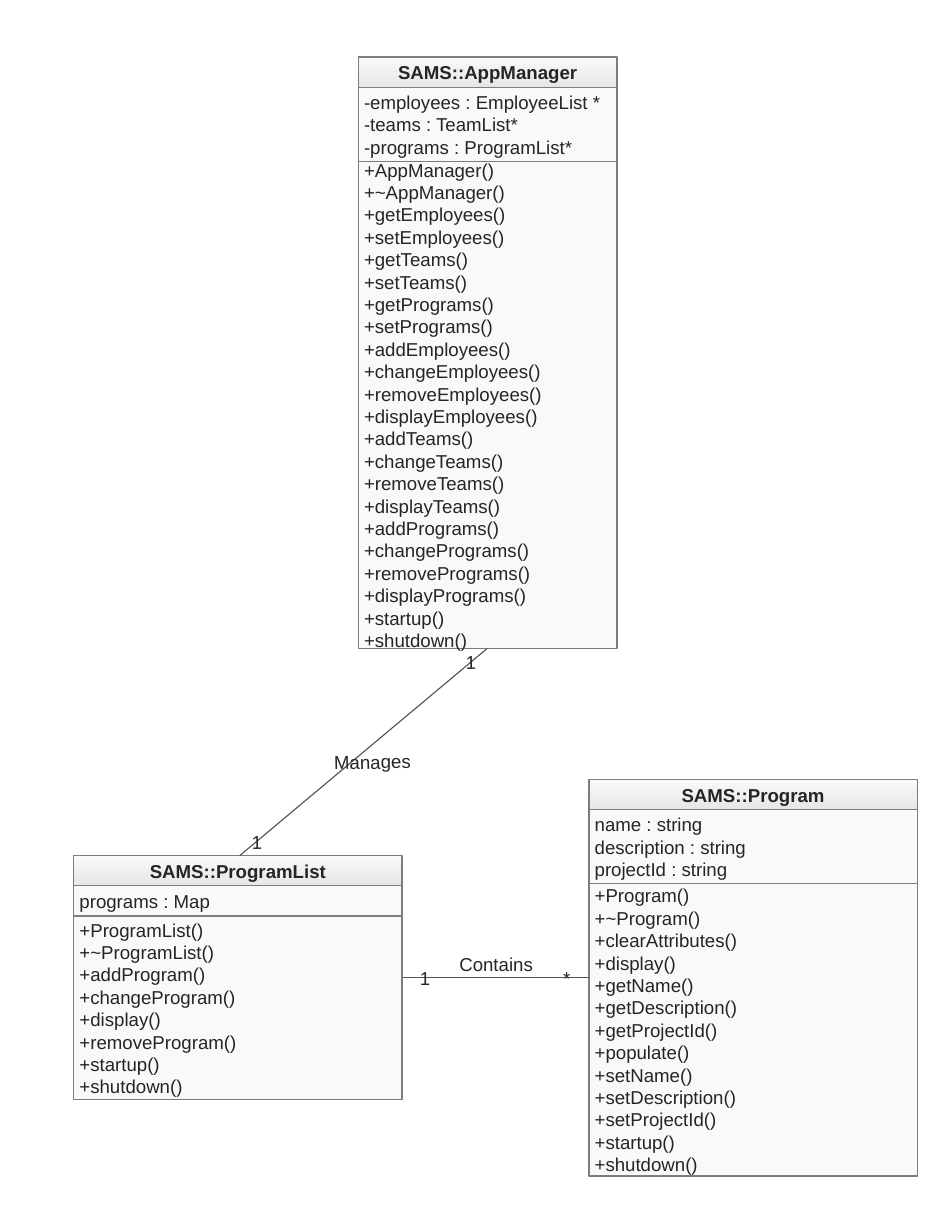
from pptx import Presentation
from pptx.dml.color import RGBColor as RGB
from pptx.enum.shapes import MSO_CONNECTOR as Conn, MSO_SHAPE as Shape
from pptx.enum.text import MSO_ANCHOR as Anchor, PP_ALIGN as Align
from pptx.oxml.ns import qn
from pptx.util import Inches, Pt
from lxml.etree import SubElement

INK = RGB(0x25, 0x25, 0x25)
EDGE = RGB(0x7D, 0x7D, 0x7D)
LINK = RGB(0x55, 0x55, 0x55)
PALE = RGB(0xF9, 0xF9, 0xF9)
SHADE = RGB(0xE7, 0xE7, 0xE7)
HEAD = 0.27

MANAGER = [
    "+AppManager()", "+~AppManager()",
    "+getEmployees()", "+setEmployees()",
    "+getTeams()", "+setTeams()",
    "+getPrograms()", "+setPrograms()",
    "+addEmployees()", "+changeEmployees()",
    "+removeEmployees()", "+displayEmployees()",
    "+addTeams()", "+changeTeams()", "+removeTeams()", "+displayTeams()",
    "+addPrograms()", "+changePrograms()",
    "+removePrograms()", "+displayPrograms()",
    "+startup()", "+shutdown()",
]
LIST = [
    "+ProgramList()", "+~ProgramList()", "+addProgram()", "+changeProgram()",
    "+display()", "+removeProgram()", "+startup()", "+shutdown()",
]
PROGRAM = [
    "+Program()", "+~Program()", "+clearAttributes()", "+display()",
    "+getName()", "+getDescription()", "+getProjectId()", "+populate()",
    "+setName()", "+setDescription()", "+setProjectId()",
    "+startup()", "+shutdown()",
]


def write(shape, rows, bold=False, align=Align.LEFT, anchor=Anchor.MIDDLE,
          side=0.05, edge=0.04):
    frame = shape.text_frame
    frame.word_wrap = True
    frame.vertical_anchor = anchor
    frame.margin_left = frame.margin_right = Inches(side)
    frame.margin_top = frame.margin_bottom = Inches(edge)
    for i, row in enumerate(rows):
        para = frame.add_paragraph() if i else frame.paragraphs[0]
        para.alignment = align
        para.line_spacing = Pt(14.4)
        run = para.add_run()
        run.text = row
        font = run.font
        font.name, font.size, font.bold = "Arial", Pt(12), bold
        font.color.rgb = INK


def add_part(slide, left, top, width, height, rows, head=False):
    part = slide.shapes.add_shape(Shape.RECTANGLE, Inches(left), Inches(top),
                                  Inches(width), Inches(height))
    part.shadow.inherit = False
    part.line.color.rgb = EDGE
    part.line.width = Pt(0.75)
    if head:
        part.fill.gradient()
        part.fill.gradient_angle = 270
        for stop, color, place in zip(part.fill.gradient_stops,
                                      (PALE, SHADE), (0, 1)):
            stop.color.rgb = color
            stop.position = place
    else:
        part.fill.solid()
        part.fill.fore_color.rgb = PALE
    write(part, rows, bold=head, align=Align.CENTER if head else Align.LEFT)


def add_class(slide, left, top, width, name, fields, methods, heights):
    middle, bottom = heights
    add_part(slide, left, top + HEAD, width, middle, fields)
    add_part(slide, left, top + HEAD + middle, width, bottom, methods)
    add_part(slide, left, top, width, HEAD, [name], head=True)


def add_link(slide, *ends):
    link = slide.shapes.add_connector(Conn.STRAIGHT, *map(Inches, ends))
    link.line.color.rgb = LINK
    link.line.width = Pt(0.75)
    SubElement(link._element.spPr, qn("a:effectLst"))


def add_label(slide, text, left, top, width, height=HEAD, turn=0, **style):
    label = slide.shapes.add_textbox(Inches(left), Inches(top),
                                     Inches(width), Inches(height))
    label.rotation = turn
    write(label, [text], align=Align.CENTER, **style)


def main():
    deck = Presentation()
    deck.slide_width, deck.slide_height = Inches(8.5), Inches(11)
    slide = deck.slides.add_slide(deck.slide_layouts[6])

    add_class(slide, 3.2, 0.51, 2.31, "SAMS::AppManager",
              ["-employees : EmployeeList *", "-teams : TeamList*",
               "-programs : ProgramList*"], MANAGER, (0.66, 4.35))
    add_class(slide, 0.66, 7.64, 2.93, "SAMS::ProgramList",
              ["programs : Map"], LIST, (0.27, 1.64))
    add_class(slide, 5.26, 6.96, 2.93, "SAMS::Program",
              ["name : string", "description : string",
               "projectId : string"], PROGRAM, (0.66, 2.61))

    name = dict(height=0.19, anchor=Anchor.BOTTOM, side=0, edge=0)
    add_link(slide, 3.6, 8.73, 5.26, 8.73)
    add_label(slide, "1", 3.68, 8.6, 0.23)
    add_label(slide, "*", 4.96, 8.6, 0.2)
    add_label(slide, "Contains", 4.09, 8.52, 0.68, **name)

    add_link(slide, 4.35, 5.79, 2.14, 7.64)
    add_label(slide, "1", 4.09, 5.78, 0.23, turn=359)
    add_label(slide, "1", 2.18, 7.38, 0.23, turn=359)
    add_label(slide, "Manages", 2.97, 6.71, 0.71, turn=359, **name)

    deck.save("out.pptx")


if __name__ == "__main__":
    main()
